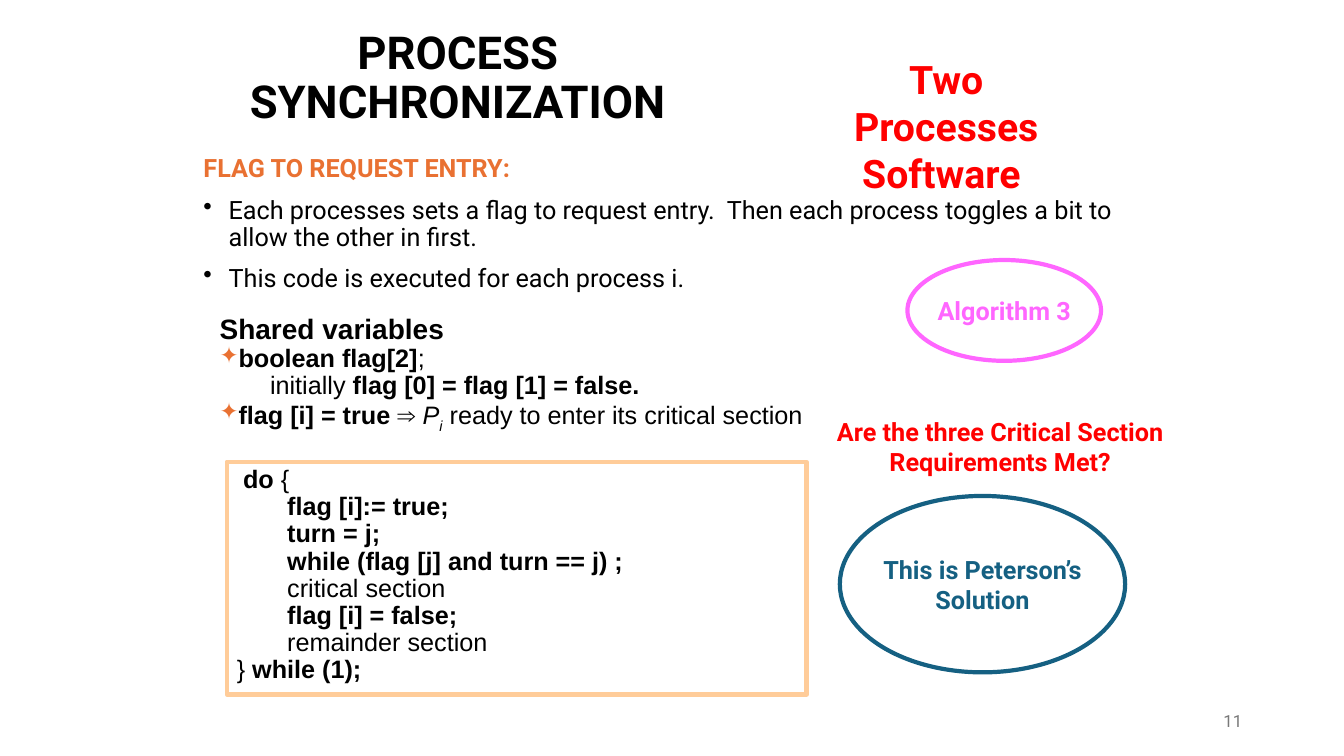
from lxml.etree import SubElement
from pptx import Presentation
from pptx.dml.color import RGBColor
from pptx.enum.shapes import MSO_SHAPE as Shape
from pptx.enum.text import MSO_ANCHOR as Anchor, PP_ALIGN as Align
from pptx.oxml.ns import qn
from pptx.util import Inches, Pt

COLORS = {
    "black": "000000", "white": "FFFFFF", "orange": "E97132", "red": "FF0000",
    "peach": "FFCC99", "pink": "FF66FF", "blue": "156082", "gray": "797979",
}
BOLD = {"bold": True}
ITALIC = {"italic": True}


def rgb(name):
    return RGBColor.from_string(COLORS[name])


def add_bullet(p, char, color=None, percent=None, hang=0):
    pPr = p._p.get_or_add_pPr()
    pPr.set("marL", str(Inches(hang)))
    pPr.set("indent", str(-Inches(hang)))
    if color:
        clr = SubElement(pPr, qn("a:buClr"))
        SubElement(clr, qn("a:srgbClr"), val=COLORS[color])
    if percent:
        SubElement(pPr, qn("a:buSzPct"), val=str(percent * 1000))
    SubElement(pPr, qn("a:buChar"), char=char)


def add_run(p, text, size=18, font="Roboto", color="black", bold=False,
            italic=False, baseline=None):
    """Add text in one format; each newline becomes a line break."""
    for i, line in enumerate(text.split("\n")):
        if i:
            p.add_line_break()
        r = p.add_run()
        r.text = line
        r.font.size, r.font.name = Pt(size), font
        r.font.bold, r.font.italic = bold, italic
        r.font.color.rgb = rgb(color)
        if baseline:
            r._r.get_or_add_rPr().set("baseline", str(baseline * 1000))


def fill_text(tf, paragraphs, align=Align.LEFT, anchor=Anchor.TOP, wrap=True,
              spacing=1.0, before=0, bullet=None, **fmt):
    """Each paragraph is a list of (text, format changes) and may end with a bullet dict."""
    tf.word_wrap, tf.vertical_anchor = wrap, anchor
    for i, runs in enumerate(paragraphs):
        p = tf.paragraphs[0] if i == 0 else tf.add_paragraph()
        p.alignment, p.line_spacing = align, spacing
        p.space_before = Pt(before if i else 0)
        if bullet and i:
            add_bullet(p, **bullet)
        for text, changes in runs:
            add_run(p, text, **{**fmt, **changes})


def plain(*lines):
    return [[(line, {})] for line in lines]


class SlideBuilder:
    def __init__(self, prs):
        self.s = prs.slides.add_slide(prs.slide_layouts[6])

    def text(self, box, paragraphs, **fmt):
        sp = self.s.shapes.add_textbox(*map(Inches, box))
        fill_text(sp.text_frame, paragraphs, **fmt)

    def shape(self, kind, box, line, paragraphs, fill=None, **fmt):
        sp = self.s.shapes.add_shape(kind, *map(Inches, box))
        sp.shadow.inherit = False
        if fill:
            sp.fill.solid()
            sp.fill.fore_color.rgb = rgb(fill)
        else:
            sp.fill.background()
        sp.line.color.rgb, sp.line.width = rgb(line), Pt(3)
        fill_text(sp.text_frame, paragraphs, **fmt)

    def ellipse(self, box, color, *lines):
        self.shape(Shape.OVAL, box, color, plain(*lines), color=color, bold=True,
                   align=Align.CENTER, anchor=Anchor.MIDDLE, wrap=False)


def main():
    prs = Presentation()
    prs.slide_width, prs.slide_height = Inches(13.33), Inches(7.5)
    slide = SlideBuilder(prs)

    slide.text((2, 0.33, 5.08, 0.92), plain("PROCESS SYNCHRONIZATION"), size=32.4,
               bold=True, align=Align.CENTER, anchor=Anchor.MIDDLE, spacing=0.9)
    slide.text((7.96, 0.5, 2.85, 1.04), plain("Two\nProcesses", "Software "), size=28,
               color="red", bold=True, align=Align.CENTER)
    slide.text((1.92, 1.5, 9.5, 1.5), [
        [("FLAG TO REQUEST ENTRY:", {"color": "orange", "bold": True})],
        *plain("Each processes sets a flag to request entry.  Then each process "
               "toggles a bit to allow the other in first.",
               "This code is executed for each process i."),
    ], spacing=0.9, before=10, bullet={"char": "•", "hang": 0.25})

    slide.text((2.08, 3.08, 6.17, 1.22), [
        [("Shared variables", {"size": 20, "bold": True})],
        [("boolean flag[2]", BOLD), (";\n\tinitially ", {}),
         ("flag [0] = flag [1] = false.", BOLD)],
        [("flag [i] = true ", BOLD), ("⇒ ", {}), ("P", ITALIC),
         ("i", {"italic": True, "baseline": -25}),
         (" ready to enter its critical section", {})],
    ], font="Arial", spacing=0.9,
        bullet={"char": "✦", "color": "orange", "percent": 90})

    slide.shape(Shape.RECTANGLE, (2.25, 4.58, 5.75, 2.31), "peach", [
        [(" ", {"font": "Roboto"}), ("do", BOLD), (" {", {})],
        [("\tflag [i]:= true;\n\tturn = j;\n\twhile (flag [j] and turn == j) ;", BOLD)],
        [("\tcritical section", {})],
        [("\tflag [i] = false;", BOLD)],
        [("\tremainder section", {})],
        [("} ", {}), ("while (1);", BOLD)],
    ], fill="white", font="Arial", spacing=0.9)

    slide.ellipse((9, 2.58, 1.92, 1), "pink", "Algorithm 3")
    slide.text((8.17, 4.08, 3.5, 0.71),
               plain("Are the three Critical Section Requirements Met?"),
               color="red", bold=True, align=Align.CENTER)
    slide.ellipse((8.33, 4.92, 2.83, 1.75), "blue", "This is Peterson’s", "Solution")
    slide.text((9.42, 6.95, 3, 0.4), plain("11"), size=12, color="gray",
               align=Align.RIGHT, anchor=Anchor.MIDDLE)

    prs.save("out.pptx")


if __name__ == "__main__":
    main()
